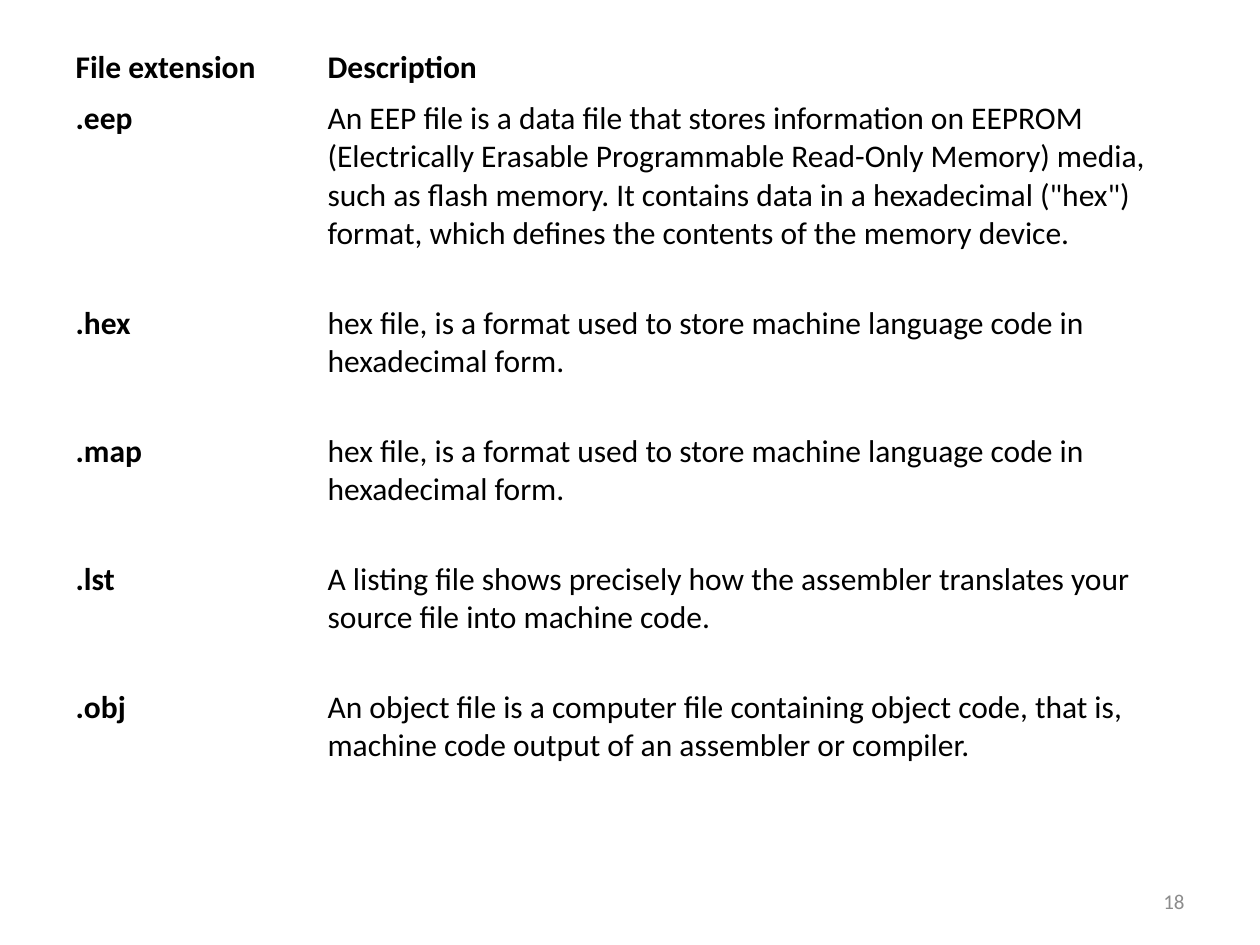
"""Build the slide that lists file extensions and their descriptions."""
from dataclasses import dataclass

from pptx import Presentation
from pptx.dml.color import RGBColor
from pptx.enum.text import MSO_ANCHOR, PP_ALIGN
from pptx.util import Pt


@dataclass(frozen=True)
class Theme:
    font: str = "Calibri"
    text: RGBColor = RGBColor(0, 0, 0)
    muted: RGBColor = RGBColor(0x8C, 0x8C, 0x8C)
    body_size: Pt = Pt(18)
    number_size: Pt = Pt(12)


def set_font(paragraph, size, color, bold=False):
    font = paragraph.font
    font.name, font.size, font.bold = theme.font, size, bold
    font.color.rgb = color


theme = Theme()
hex_description = (
    "hex file, is\u00a0a format used to store machine language code in hexadecimal form."
)
rows = [
    ("File extension", "Description", 29.2),
    (
        ".eep",
        "An EEP file is\u00a0a data file that stores information on EEPROM "
        "(Electrically Erasable Programmable Read-Only Memory) media, such as "
        "flash memory. It contains data in a hexadecimal (\"hex\") format, which "
        "defines the contents of the memory device.",
        117.1,
    ),
    (".hex", hex_description, 73.1),
    (".map", hex_description, 73.1),
    (
        ".lst",
        "A listing file\u00a0shows precisely how the assembler translates your "
        "source file into machine code.",
        73.1,
    ),
    (
        ".obj",
        "An object file is\u00a0a computer file containing object code, that is, "
        "machine code output of an assembler or compiler.",
        51.1,
    ),
    ("", "", 29.2),
]

presentation = Presentation()
presentation.slide_width, presentation.slide_height = Pt(720), Pt(540)
slide = presentation.slides.add_slide(presentation.slide_layouts[6])

table_height = sum(height for _, _, height in rows)
table = slide.shapes.add_table(
    len(rows), 2, Pt(36), Pt(24), Pt(648), Pt(table_height)
).table
table.first_row = table.horz_banding = False
for column, width in zip(table.columns, (144, 504)):
    column.width = Pt(width)

for row_index, (extension, description, height) in enumerate(rows):
    table.rows[row_index].height = Pt(height)
    for column_index, text in enumerate((extension, description)):
        cell = table.cell(row_index, column_index)
        cell.fill.background()
        cell.text = text
        bold = row_index == 0 or column_index == 0
        set_font(cell.text_frame.paragraphs[0], theme.body_size, theme.text, bold)

number_box = slide.shapes.add_textbox(Pt(516), Pt(500.5), Pt(168), Pt(28.75))
number_frame = number_box.text_frame
number_frame.word_wrap = True
number_frame.vertical_anchor = MSO_ANCHOR.MIDDLE
number_paragraph = number_frame.paragraphs[0]
number_paragraph.text = "18"
number_paragraph.alignment = PP_ALIGN.RIGHT
set_font(number_paragraph, theme.number_size, theme.muted)

presentation.save("out.pptx")
